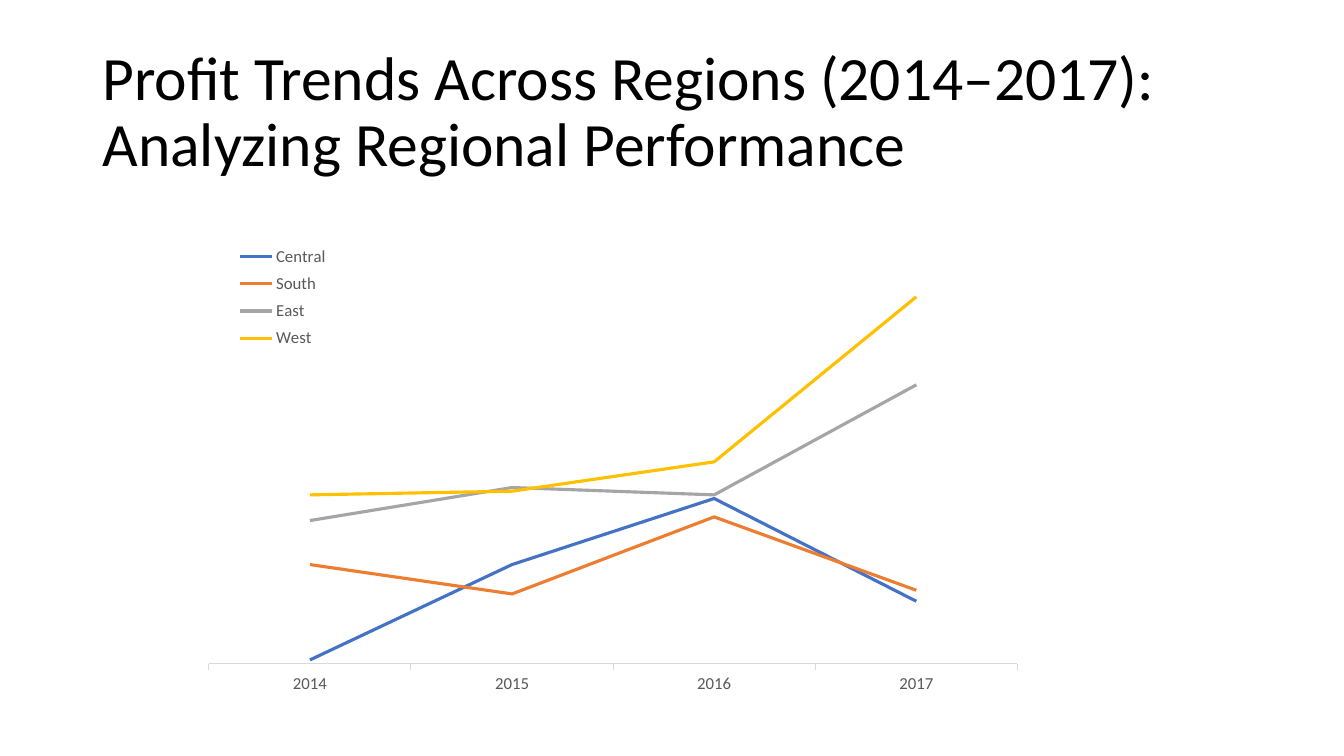
from lxml.etree import SubElement
from pptx import Presentation
from pptx.chart.data import CategoryChartData
from pptx.dml.color import RGBColor
from pptx.enum.chart import XL_CHART_TYPE, XL_LEGEND_POSITION, XL_TICK_MARK
from pptx.enum.text import MSO_ANCHOR, MSO_AUTO_SIZE, PP_ALIGN
from pptx.oxml.ns import qn
from pptx.util import Pt

FONT = "Calibri"
YEARS = ["2014", "2015", "2016", "2017"]
REGIONS = [
    ("Central", [1, 27, 45, 17], "4472C4"),
    ("South", [27, 19, 40, 20], "ED7D31"),
    ("East", [39, 48, 46, 76], "A5A5A5"),
    ("West", [46, 47, 55, 100], "FFC000"),
]


def rgb(value):
    """Turn a hex string into a colour."""
    return RGBColor.from_string(value)


def style_font(font, size, color):
    """Set typeface, size and colour of a font."""
    font.name = FONT
    font.size = Pt(size)
    font.color.rgb = rgb(color)


def style_line(line, width, color):
    """Set width and colour of a line."""
    line.width = Pt(width)
    line.color.rgb = rgb(color)


def set_title(sp, text):
    """Place and format the title placeholder."""
    sp.left, sp.top, sp.width, sp.height = Pt(66), Pt(28.75), Pt(828), Pt(104.4)
    tf = sp.text_frame
    tf.word_wrap = True
    tf.auto_size = MSO_AUTO_SIZE.NONE
    tf.vertical_anchor = MSO_ANCHOR.MIDDLE
    p = tf.paragraphs[0]
    p.alignment = PP_ALIGN.LEFT
    p.line_spacing = 0.9
    r = p.add_run()
    r.text = text
    style_font(r.font, 44, "000000")


def set_layout(element, index, box, inner=False):
    """Fix the box of a chart part, as fractions of the chart."""
    for old in element.findall(qn("c:layout")):
        element.remove(old)
    layout = SubElement(element, qn("c:layout"))
    element.insert(index, layout)
    manual = SubElement(layout, qn("c:manualLayout"))
    settings = [("layoutTarget", "inner")] if inner else []
    settings += [("xMode", "edge"), ("yMode", "edge"), *zip("xywh", box)]
    for tag, value in settings:
        SubElement(manual, qn(f"c:{tag}")).set("val", str(value))


def style_axes(chart):
    """Show the years and hide the profit axis."""
    years = chart.category_axis
    years.major_tick_mark = XL_TICK_MARK.OUTSIDE
    years.minor_tick_mark = XL_TICK_MARK.NONE
    style_font(years.tick_labels.font, 12, "595959")
    style_line(years.format.line, 0.75, "D9D9D9")
    profit = chart.value_axis
    profit.minimum_scale, profit.maximum_scale = 0, 114
    profit.has_major_gridlines = False
    profit.tick_labels.number_format = '"$"#,##0'
    profit.tick_labels.number_format_is_linked = False
    profit.visible = False


def add_profit_chart(s):
    """Add the line chart of profit by region."""
    data = CategoryChartData(number_format='"$"#,##0')
    data.categories = YEARS
    for name, values, _ in REGIONS:
        data.add_series(name, values)
    chart = s.shapes.add_chart(
        XL_CHART_TYPE.LINE, Pt(126), Pt(154), Pt(662.4), Pt(344.2), data
    ).chart
    style_font(chart.font, 10, "000000")
    chart.has_title = False
    chart.plots[0].vary_by_categories = False
    for series, (_, _, color) in zip(chart.plots[0].series, REGIONS):
        series.smooth = False
        style_line(series.format.line, 2.25, color)
    style_axes(chart)
    chart.has_legend = True
    legend = chart.legend
    legend.position = XL_LEGEND_POSITION.RIGHT
    legend.include_in_layout = False
    style_font(legend.font, 12, "595959")
    plot_area = chart.element.find(f".//{qn('c:plotArea')}")
    legend_area = chart.element.find(f".//{qn('c:legend')}")
    set_layout(plot_area, 0, (0.035, 0.062, 0.872, 0.868), inner=True)
    set_layout(legend_area, 1, (0.06, 0.05, 0.11, 0.24))


def main():
    """Build and save the slide."""
    prs = Presentation()
    prs.slide_width, prs.slide_height = Pt(960), Pt(540)
    s = prs.slides.add_slide(prs.slide_layouts[5])
    set_title(
        s.shapes.title,
        "Profit Trends Across Regions (2014–2017): Analyzing Regional Performance",
    )
    add_profit_chart(s)
    prs.save("out.pptx")


if __name__ == "__main__":
    main()
